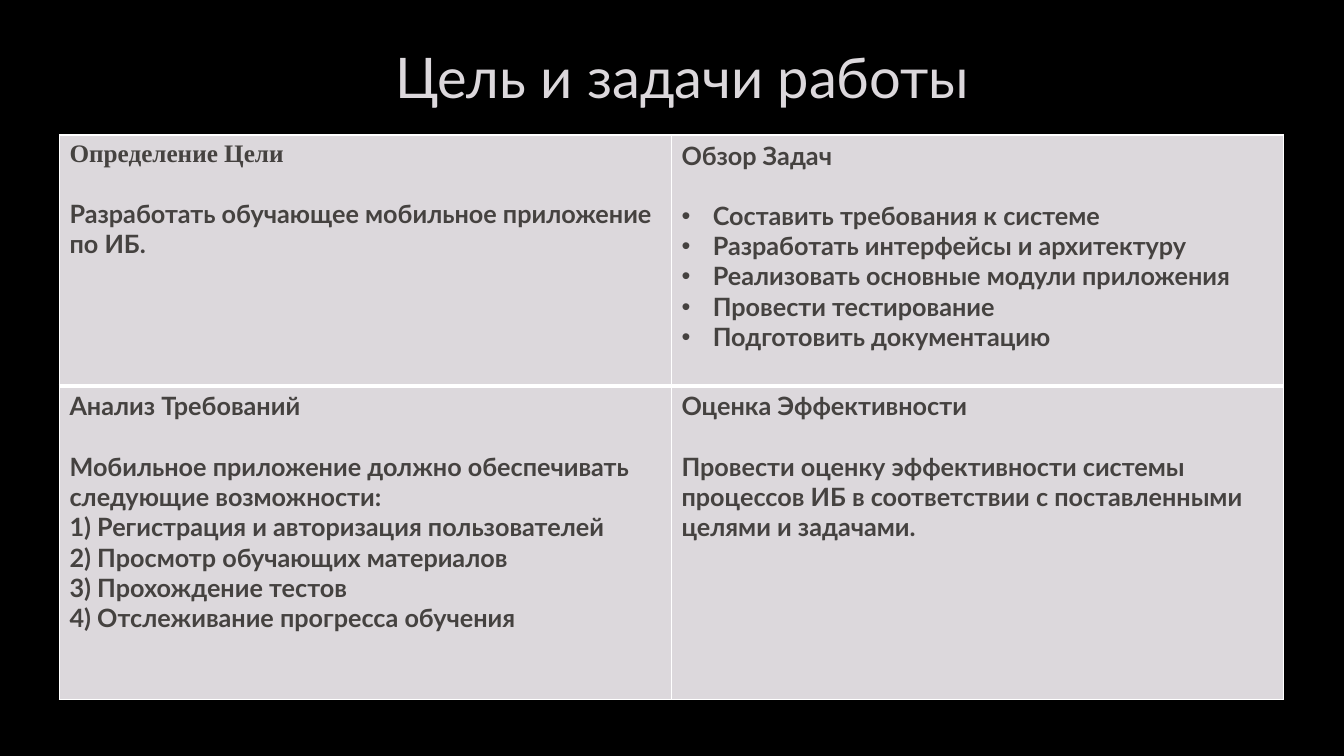
from lxml.etree import SubElement
from pptx import Presentation
from pptx.dml.color import RGBColor
from pptx.enum.text import MSO_ANCHOR, PP_ALIGN
from pptx.oxml.ns import qn
from pptx.util import Inches, Pt

GOAL = ("Определение Цели", ["Разработать обучающее мобильное приложение по ИБ."])
TASKS = ("Обзор Задач", [
    "• Составить требования к системе",
    "• Разработать интерфейсы и архитектуру",
    "• Реализовать основные модули приложения",
    "• Провести тестирование",
    "• Подготовить документацию",
])
REQUIREMENTS = ("Анализ Требований", [
    "Мобильное приложение должно обеспечивать следующие возможности:",
    "1) Регистрация и авторизация пользователей",
    "2) Просмотр обучающих материалов",
    "3) Прохождение тестов",
    "4) Отслеживание прогресса обучения",
])
EVALUATION = ("Оценка Эффективности", [
    "Провести оценку эффективности системы процессов ИБ "
    "в соответствии с поставленными целями и задачами.",
])


def color(value):
    return RGBColor.from_string(value)


class GoalsSlide:
    FONT = "Lato"
    BACKGROUND, PANEL, TEXT, BORDER = "000000", "DCD8DC", "454240", "FFFFFF"
    THIN, THICK = 1, 3

    def __init__(self, presentation):
        self.slide = presentation.slides.add_slide(presentation.slide_layouts[5])
        background = self.slide.background.fill
        background.solid()
        background.fore_color.rgb = color(self.BACKGROUND)

    def set_font(self, paragraph, size, hue, bold=False, name=FONT):
        font = paragraph.font
        font.name, font.size, font.bold = name, Pt(size), bold
        font.color.rgb = color(hue)

    def title(self, text, left, top, width, height):
        heading = self.slide.shapes.title
        heading.left, heading.top = Inches(left), Inches(top)
        heading.width, heading.height = Inches(width), Inches(height)
        frame = heading.text_frame
        frame.text = text
        frame.vertical_anchor = MSO_ANCHOR.BOTTOM
        frame.paragraphs[0].alignment = PP_ALIGN.CENTER
        self.set_font(frame.paragraphs[0], 40, self.PANEL)

    def table(self, rows, left, top, width, heights):
        columns = len(rows[0])
        grid = self.slide.shapes.add_table(
            len(rows), columns, Inches(left), Inches(top),
            Inches(width), Inches(sum(heights))).table
        grid.first_row = grid.horz_banding = False
        for column in grid.columns:
            column.width = Inches(width / columns)
        for r, (sections, height) in enumerate(zip(rows, heights)):
            grid.rows[r].height = Inches(height)
            for c, (heading, lines) in enumerate(sections):
                cell = grid.cell(r, c)
                self.borders(cell, top=self.THICK if r else self.THIN,
                             bottom=self.THIN if r else self.THICK)
                cell.fill.solid()
                cell.fill.fore_color.rgb = color(self.PANEL)
                self.section(cell.text_frame, heading, lines)
        return grid

    def borders(self, cell, top, bottom):
        properties = cell._tc.get_or_add_tcPr()
        for side, width in zip("LRTB", (self.THIN, self.THIN, top, bottom)):
            line = SubElement(properties, qn(f"a:ln{side}"), w=str(Pt(width)))
            fill = SubElement(line, qn("a:solidFill"))
            SubElement(fill, qn("a:srgbClr"), val=self.BORDER)

    def section(self, frame, heading, lines):
        """Write a heading and, one line height below it, its lines."""
        frame.text = heading
        self.set_font(frame.paragraphs[0], 18, self.TEXT, bold=True)
        for number, line in enumerate(lines):
            paragraph = frame.add_paragraph()
            paragraph.text = line.removeprefix("• ")
            if number == 0:
                paragraph.space_before = Pt(21.6)
            if line.startswith("• "):
                self.bullet(paragraph)
            self.set_font(paragraph, 18, self.TEXT, bold=True)

    def bullet(self, paragraph):
        properties = paragraph._p.get_or_add_pPr()
        properties.set("marL", str(Inches(0.31)))
        properties.set("indent", str(-Inches(0.31)))
        SubElement(properties, qn("a:buFont"), typeface="Arial")
        SubElement(properties, qn("a:buChar"), char="•")


def main():
    presentation = Presentation()
    presentation.slide_width, presentation.slide_height = Inches(13.33), Inches(7.5)
    page = GoalsSlide(presentation)
    page.title("Цель и задачи работы", 3.08, 0.12, 7.37, 1.02)
    grid = page.table([[GOAL, TASKS], [REQUIREMENTS, EVALUATION]],
                      0.59, 1.34, 12.14, [2.49, 3.11])
    goal_heading = grid.cell(0, 0).text_frame.paragraphs[0]
    page.set_font(goal_heading, 18, page.TEXT, bold=True, name="Times New Roman")
    presentation.save("out.pptx")


if __name__ == "__main__":
    main()
